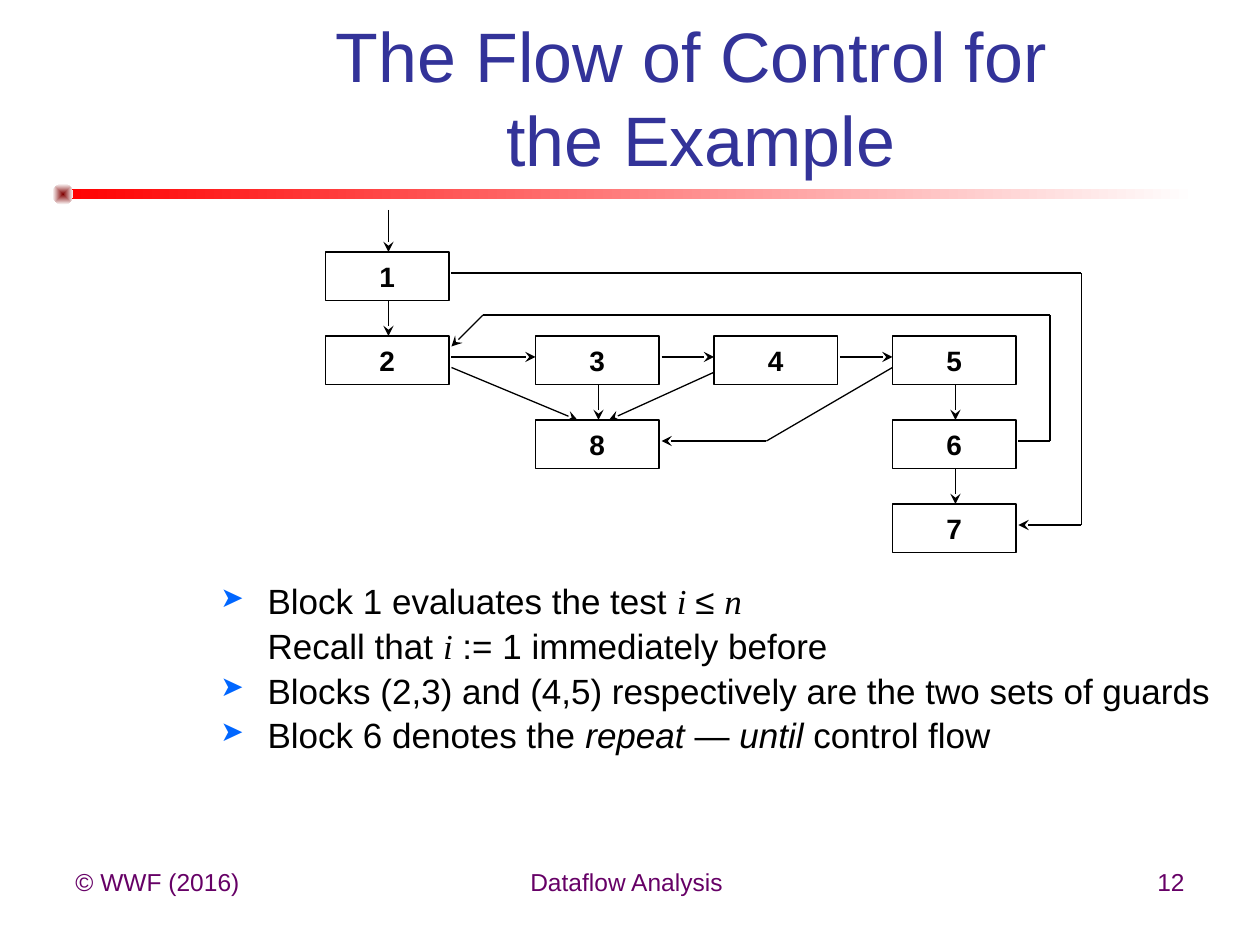
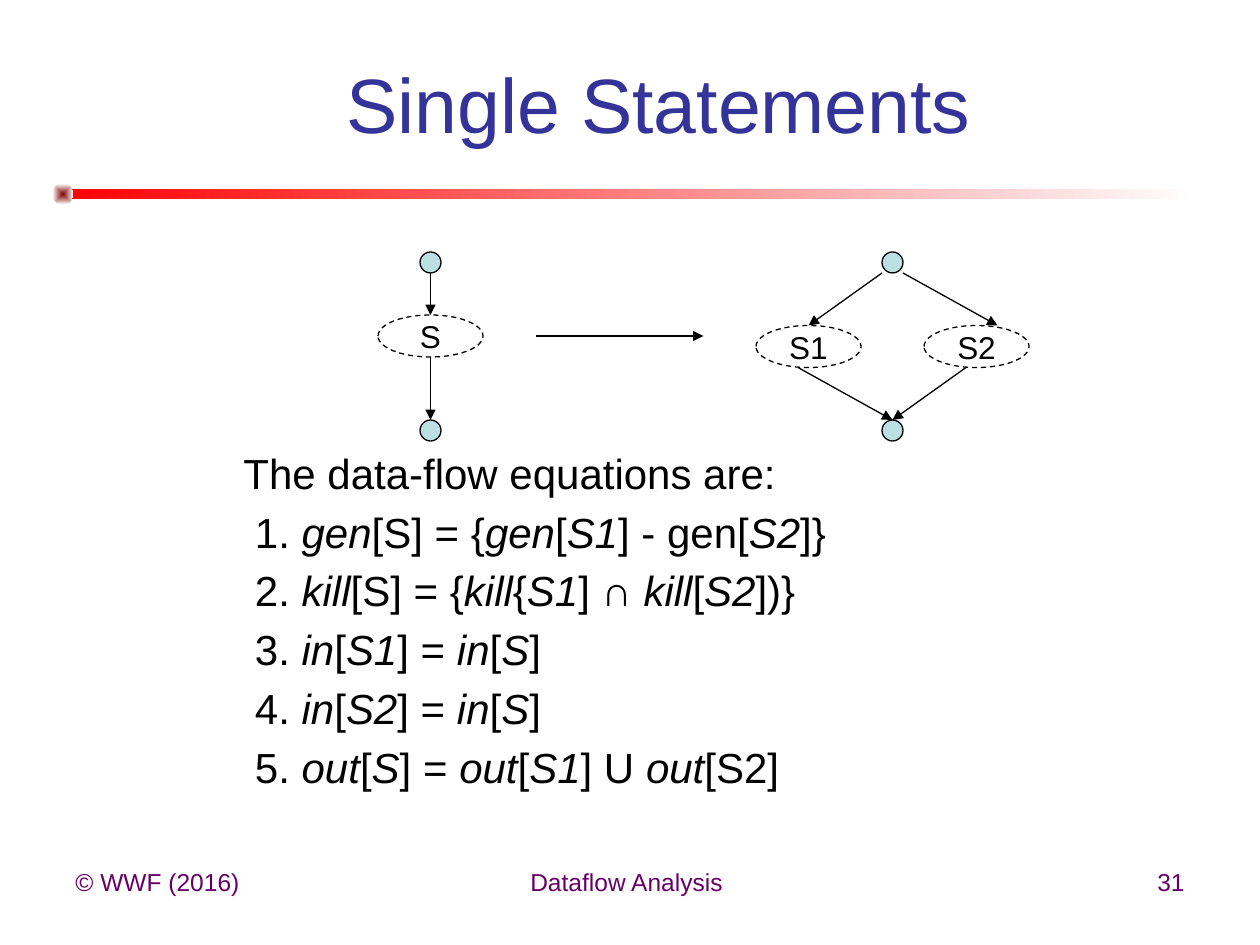
from dataclasses import dataclass

from lxml import etree
from pptx import Presentation
from pptx import util as u
from pptx.dml.color import RGBColor
from pptx.enum import dml, shapes, text
from pptx.oxml import ns

COLUMNS, ROWS = 120, 90
CELL = u.Inches(10) // COLUMNS
COLORS = {
    "title": "333399",
    "body": "000000",
    "footer": "660066",
    "line": "000000",
    "paper": "FFFFFF",
    "bar": "FF0000",
    "knob": "800000",
    "bullet": "0066FF",
    "point": "BBE0E3",
}
SANS, SERIF = "Arial", "Times New Roman"
LEADING = 1.2
LINE_WIDTH = u.Pt(0.75)
HANG = 4.5
LEFT, CENTER, RIGHT = text.PP_ALIGN.LEFT, text.PP_ALIGN.CENTER, text.PP_ALIGN.RIGHT
TOP, MIDDLE = text.MSO_ANCHOR.TOP, text.MSO_ANCHOR.MIDDLE
RECTANGLE, OVAL = shapes.MSO_SHAPE.RECTANGLE, shapes.MSO_SHAPE.OVAL


@dataclass(frozen=True)
class Frame:
    """A place on the grid, in columns and rows."""
    left: float
    top: float
    width: float
    height: float

    def emu(self) -> list[u.Emu]:
        return [cells(n) for n in (self.left, self.top, self.width, self.height)]


@dataclass(frozen=True)
class Style:
    size: int
    color: str
    align: text.PP_ALIGN = LEFT
    anchor: text.MSO_ANCHOR = TOP
    bold: bool = False


@dataclass(frozen=True)
class Line:
    """A body paragraph; the parts between asterisks are italic."""
    text: str
    margin: float = 0
    bullet: bool = False
    italic_font: str = SANS


@dataclass(frozen=True)
class NodeKind:
    shape: shapes.MSO_SHAPE
    width: float
    height: float
    fill: str
    style: Style
    dashed: bool = False


@dataclass(frozen=True)
class Node:
    kind: NodeKind
    left: float
    top: float
    label: str = ""


Route = tuple[tuple[float, float], ...]

LABEL = Style(16, "body", CENTER, MIDDLE, bold=True)
STATEMENT_LABEL = Style(18, "body", CENTER, MIDDLE)
BLOCK = NodeKind(RECTANGLE, 11.76, 4.6, "paper", LABEL)
STATEMENT = NodeKind(OVAL, 10, 4, "paper", STATEMENT_LABEL, dashed=True)
POINT = NodeKind(OVAL, 2, 2, "point", STATEMENT_LABEL)

FOOTERS = (
    (Frame(6, 82, 28, 6.2), "© WWF (2016)", LEFT),
    (Frame(41, 82, 38, 6.2), "Dataflow Analysis ", CENTER),
    (Frame(86, 82, 28, 6.2), "{number}", RIGHT),
)

# Block number -> (column, row) of its corner
BLOCKS = {
    1: (31, 24), 2: (31, 32), 3: (51, 32), 4: (68, 32),
    5: (85, 32), 6: (85, 40), 7: (85, 48), 8: (51, 40),
}
CONTROL_FLOW: tuple[Route, ...] = (
    ((37, 20), (37, 24)),
    ((37, 28), (37, 32)),
    ((43, 34), (51, 34)),
    ((63, 34), (68, 34)),
    ((80, 34), (85, 34)),
    ((57, 36), (57, 40)),
    ((91, 36), (91, 40)),
    ((91, 44), (91, 48)),
    ((43, 35), (55, 40)),
    ((69, 35), (58, 40)),
    ((85, 35), (73, 42), (63, 42)),
    ((97, 42), (100, 42), (100, 30), (46, 30), (43, 33)),
    ((43, 26), (103, 26), (103, 50), (97, 50)),
)
CONTROL_NOTES = (
    Line("Block 1 evaluates the test *i *≤ *n*", HANG, True, SERIF),
    Line("Recall that *i* := 1 immediately before", HANG, False, SERIF),
    Line("Blocks (2,3) and (4,5) respectively are the two sets of guards", HANG, True),
    Line("Block 6 denotes the *repeat* — *until* control flow", HANG, True),
)

STATEMENT_NODES = (
    Node(POINT, 40, 24),
    Node(STATEMENT, 36, 30, "S"),
    Node(POINT, 40, 40),
    Node(POINT, 84, 24),
    Node(STATEMENT, 72, 31, "S1"),
    Node(STATEMENT, 88, 31, "S2"),
    Node(POINT, 84, 40),
)
STATEMENT_FLOW: tuple[Route, ...] = (
    ((41, 26), (41, 30)),
    ((41, 34), (41, 40)),
    ((51, 32), (67, 32)),
    ((84, 26), (77, 31)),
    ((86, 26), (95, 31)),
    ((76, 35), (85, 40)),
    ((92, 35), (85, 40)),
)
EQUATIONS = (
    "*gen*[S] = {*gen*[*S1*] - gen[*S2*]}",
    "*kill*[S] = {*kill*{*S1*] ∩ *kill*[*S2*])}",
    "*in*[*S1*] = *in*[*S*]",
    "*in*[*S2*] = *in*[*S*]",
    "*out*[*S*] = *out*[*S1*] U *out*[S2]",
)


def cells(n: float) -> u.Emu:
    return u.Emu(round(n * CELL))


def rgb(name: str) -> RGBColor:
    return RGBColor.from_string(COLORS[name])


def child(parent, tag: str, **attrs):
    return etree.SubElement(parent, ns.qn(tag), **attrs)


def format_run(r, style: Style, font: str = SANS, italic: bool = False) -> None:
    r.font.name = font
    r.font.size = u.Pt(style.size)
    r.font.color.rgb = rgb(style.color)
    r.font.bold = style.bold
    r.font.italic = italic


def set_text(sp, words: str, style: Style, wrap: bool = True) -> None:
    tf = sp.text_frame
    tf.text = words
    tf.word_wrap = wrap
    tf.vertical_anchor = style.anchor
    for p in tf.paragraphs:
        p.alignment = style.align
        for r in p.runs:
            format_run(r, style)


def add_text(slide, frame: Frame, words: str, style: Style):
    sp = slide.shapes.add_textbox(*frame.emu())
    set_text(sp, words, style)
    return sp


def add_gradient(slide, kind, frame: Frame, color: str):
    """Draw a borderless shape that fades from the colour to white."""
    sp = slide.shapes.add_shape(kind, *frame.emu())
    sp.shadow.inherit = False
    sp.line.fill.background()
    sp.fill.gradient()
    sp.fill.gradient_angle = 0
    for stop, name in zip(sp.fill.gradient_stops, (color, "paper")):
        stop.color.rgb = rgb(name)
    return sp


def add_knob(slide) -> None:
    sp = add_gradient(slide, OVAL, Frame(5, 17.5, 2, 2), "knob")
    linear = sp._element.spPr.find(".//" + ns.qn("a:lin"))
    grad = linear.getparent()
    grad.remove(linear)
    centre = dict.fromkeys("ltrb", "50000")
    child(child(grad, "a:path", path="shape"), "a:fillToRect", **centre)


def add_page(prs, title: str, frame: Frame, size: int, number: int):
    """Add a slide with the shared title style, red bar and footers."""
    slide = prs.slides.add_slide(prs.slide_layouts[6])
    add_gradient(slide, RECTANGLE, Frame(6, 18, 108, 1), "bar")
    add_knob(slide)
    for place, words, align in FOOTERS:
        add_text(slide, place, words.format(number=number), Style(14, "footer", align))
    sp = add_text(slide, frame, title, Style(size, "title", CENTER, MIDDLE))
    sp.text_frame.paragraphs[0].line_spacing = u.Pt(size * LEADING)
    return slide


def set_bullet(p, line: Line) -> None:
    pPr = p._p.get_or_add_pPr()
    pPr.set("marL", str(cells(line.margin)))
    pPr.set("indent", str(cells(-HANG if line.bullet else 0)))
    if line.bullet:
        child(child(pPr, "a:buClr"), "a:srgbClr", val=COLORS["bullet"])
        child(pPr, "a:buSzPct", val="80000")
        child(pPr, "a:buChar", char="➤")
    else:
        child(pPr, "a:buNone")


def add_body(slide, frame: Frame, lines, size: int, spacing: float = 1) -> None:
    style = Style(size, "body")
    tf = add_text(slide, frame, "", style).text_frame
    for i, line in enumerate(lines):
        p = tf.add_paragraph() if i else tf.paragraphs[0]
        set_bullet(p, line)
        p.line_spacing = u.Pt(size * LEADING * spacing)
        p.space_before = u.Pt(size * 0.2 if i else 0)
        for j, part in enumerate(line.text.split("*")):
            if part:
                r = p.add_run()
                r.text = part
                italic = j % 2 == 1
                format_run(r, style, line.italic_font if italic else SANS, italic)


def add_route(slide, route: Route, head: str) -> None:
    """Draw a line through all the points, with an arrowhead at the last."""
    for start, end in zip(route, route[1:]):
        line = slide.shapes.add_connector(
            shapes.MSO_CONNECTOR.STRAIGHT, *map(cells, start + end))
        line.line.color.rgb = rgb("line")
        line.line.width = LINE_WIDTH
        if end == route[-1]:
            child(line.line._get_or_add_ln(), "a:tailEnd", type=head)
        child(line._element.spPr, "a:effectLst")


def add_node(slide, node: Node) -> None:
    kind = node.kind
    frame = Frame(node.left, node.top, kind.width, kind.height)
    sp = slide.shapes.add_shape(kind.shape, *frame.emu())
    sp.shadow.inherit = False
    sp.fill.solid()
    sp.fill.fore_color.rgb = rgb(kind.fill)
    sp.line.color.rgb = rgb("line")
    sp.line.width = LINE_WIDTH
    if kind.dashed:
        sp.line.dash_style = dml.MSO_LINE.DASH
    if node.label:
        set_text(sp, node.label, kind.style, wrap=False)


def add_graph(slide, nodes, routes: tuple[Route, ...], head: str) -> None:
    for route in routes:
        add_route(slide, route, head)
    for node in nodes:
        add_node(slide, node)


def build_control_flow(prs) -> None:
    slide = add_page(prs, "The Flow of Control for \vthe Example",
                     Frame(17, 3, 99.5, 12.4), 40, 12)
    add_body(slide, Frame(19.8, 55, 100.2, 29), CONTROL_NOTES, 20, 0.9)
    blocks = [Node(BLOCK, *corner, str(n)) for n, corner in BLOCKS.items()]
    add_graph(slide, blocks, CONTROL_FLOW, "stealth")


def build_single_statements(prs) -> None:
    slide = add_page(prs, "Single Statements", Frame(13.9, 6.6, 97.7, 6.4), 44, 31)
    lines = [Line("The data-flow equations are:")]
    lines += [Line(f"{n}. {eq}", 1.1) for n, eq in enumerate(EQUATIONS, 1)]
    add_body(slide, Frame(22, 42, 87, 40), lines, 24)
    add_graph(slide, STATEMENT_NODES, STATEMENT_FLOW, "triangle")


def main() -> None:
    prs = Presentation()
    prs.slide_width, prs.slide_height = cells(COLUMNS), cells(ROWS)
    build_control_flow(prs)
    build_single_statements(prs)
    prs.save("out.pptx")


if __name__ == "__main__":
    main()
